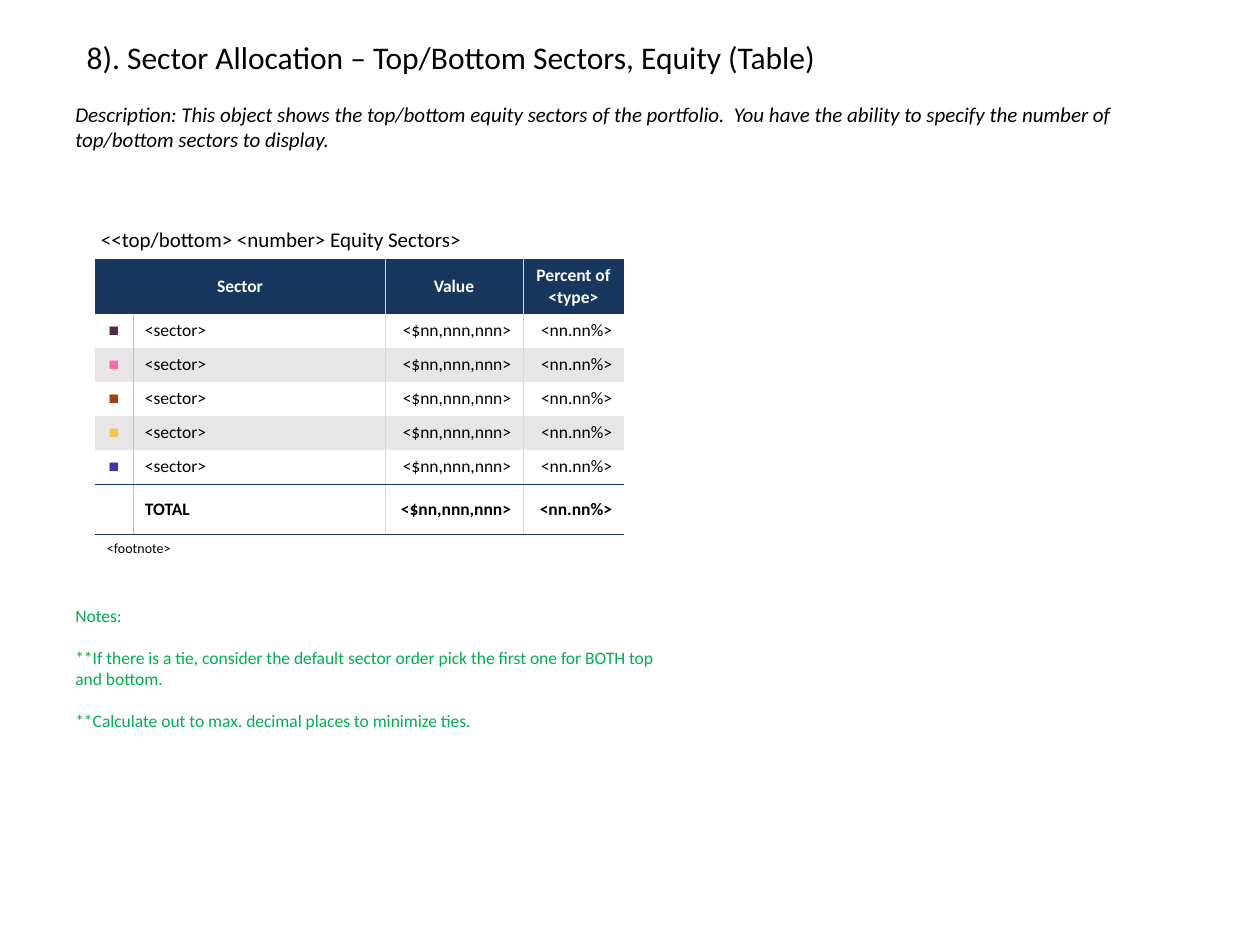
from dataclasses import dataclass
from typing import Optional

from lxml.etree import SubElement
from pptx import Presentation
from pptx.dml.color import RGBColor
from pptx.enum.text import MSO_ANCHOR, MSO_AUTO_SIZE, PP_ALIGN
from pptx.oxml.ns import qn
from pptx.util import Pt

PIXEL = 914400 // 126
COLORS = {
    "black": "000000",
    "white": "FFFFFF",
    "navy": "17375E",
    "band": "E6E6E6",
    "divider": "D9D9D9",
    "marker_divider": "BFBFBF",
    "note": "00B050",
}
SECTOR_COLORS = ["512D44", "F46BAF", "A53F0F", "FCBF49", "4930AD"]
COLUMN_WIDTHS = [38, 252, 138, 101]
ROW_HEIGHTS = [38, 55] + [34] * len(SECTOR_COLORS) + [50, 23]
HEADER_ROW = 1
TOTAL_ROW = HEADER_ROW + len(SECTOR_COLORS) + 1
FOOTNOTE_ROW = TOTAL_ROW + 1
VALUE, PERCENT = "<$nn,nnn,nnn>", "<nn.nn%>"


@dataclass
class TextStyle:
    size: int = 10
    color: str = COLORS["black"]
    bold: bool = False
    italic: bool = False
    font: str = "Calibri"
    align: PP_ALIGN = PP_ALIGN.LEFT


@dataclass
class TextBox:
    left: int
    top: int
    width: int
    height: int
    paragraphs: list[str]
    style: TextStyle
    anchor: MSO_ANCHOR = MSO_ANCHOR.TOP
    wrap: bool = True
    gap: int = 0


@dataclass
class TableCell:
    row: int
    column: int
    text: str
    style: TextStyle
    span: int = 1


def style_paragraph(paragraph, style: TextStyle) -> None:
    paragraph.alignment = style.align
    font = paragraph.font
    font.name, font.size = style.font, Pt(style.size)
    font.bold, font.italic = style.bold, style.italic
    font.color.rgb = RGBColor.from_string(style.color)


def fill_text(shape, box: TextBox) -> None:
    shape.left, shape.top = box.left * PIXEL, box.top * PIXEL
    shape.width, shape.height = box.width * PIXEL, box.height * PIXEL
    frame = shape.text_frame
    frame.text = "\n".join(box.paragraphs)
    frame.word_wrap = box.wrap
    frame.auto_size = MSO_AUTO_SIZE.NONE
    frame.vertical_anchor = box.anchor
    for index, paragraph in enumerate(frame.paragraphs):
        paragraph.space_before = Pt(box.gap if index else 0)
        style_paragraph(paragraph, box.style)


def add_text_box(slide, box: TextBox) -> None:
    fill_text(slide.shapes.add_textbox(0, 0, 0, 0), box)


def vertical_border(row: int, boundary: int) -> Optional[str]:
    if not HEADER_ROW <= row <= TOTAL_ROW or boundary in (0, len(COLUMN_WIDTHS)):
        return None
    if boundary == 1:
        return COLORS["marker_divider"] if row > HEADER_ROW else None
    return COLORS["divider"]


def horizontal_border(boundary: int) -> Optional[str]:
    return COLORS["navy"] if boundary in (TOTAL_ROW, FOOTNOTE_ROW) else None


def set_borders(cell, row: int, column: int) -> None:
    borders = {
        "a:lnL": vertical_border(row, column),
        "a:lnR": vertical_border(row, column + max(cell.span_width, 1)),
        "a:lnT": horizontal_border(row),
        "a:lnB": horizontal_border(row + 1),
    }
    properties = cell._tc.get_or_add_tcPr()
    for index, (tag, color) in enumerate(borders.items()):
        line = SubElement(properties, qn(tag), w=str(Pt(0.25)))
        if color:
            fill = SubElement(line, qn("a:solidFill"))
            SubElement(fill, qn("a:srgbClr"), val=color)
        else:
            SubElement(line, qn("a:noFill"))
        properties.insert(index, line)


def set_background(cell, row: int) -> None:
    if row == 0:
        cell.fill.background()
        return
    cell.fill.solid()
    if row == HEADER_ROW:
        color = COLORS["navy"]
    else:
        banded = row < TOTAL_ROW and row % 2
        color = COLORS["band"] if banded else COLORS["white"]
    cell.fill.fore_color.rgb = RGBColor.from_string(color)


def sector_table_cells() -> list[TableCell]:
    header = TextStyle(color=COLORS["white"], bold=True, align=PP_ALIGN.CENTER)
    cells = [
        TableCell(0, 0, "<<top/bottom> <number> Equity Sectors>", TextStyle(size=12), 4),
        TableCell(HEADER_ROW, 0, "Sector", header, 2),
        TableCell(HEADER_ROW, 2, "Value", header),
        TableCell(HEADER_ROW, 3, "Percent of <type>", header),
        TableCell(FOOTNOTE_ROW, 0, "<footnote>", TextStyle(size=8), 4),
    ]
    for row, color in enumerate(SECTOR_COLORS, HEADER_ROW + 1):
        marker = TextStyle(color=color, font="Arial", align=PP_ALIGN.CENTER)
        cells.append(TableCell(row, 0, "■", marker))
    for row in range(HEADER_ROW + 1, TOTAL_ROW + 1):
        total = row == TOTAL_ROW
        number = TextStyle(bold=total, align=PP_ALIGN.RIGHT)
        label = "TOTAL" if total else "<sector>"
        cells += [
            TableCell(row, 1, label, TextStyle(bold=total)),
            TableCell(row, 2, VALUE, number),
            TableCell(row, 3, PERCENT, number),
        ]
    return cells


def add_sector_table(slide, left: int, top: int) -> None:
    table = slide.shapes.add_table(
        len(ROW_HEIGHTS), len(COLUMN_WIDTHS), left * PIXEL, top * PIXEL,
        sum(COLUMN_WIDTHS) * PIXEL, sum(ROW_HEIGHTS) * PIXEL,
    ).table
    table.first_row = table.horz_banding = False
    for column, width in zip(table.columns, COLUMN_WIDTHS):
        column.width = width * PIXEL
    for row, height in zip(table.rows, ROW_HEIGHTS):
        row.height = height * PIXEL
    for item in sector_table_cells():
        cell = table.cell(item.row, item.column)
        if item.span > 1:
            cell.merge(table.cell(item.row, item.column + item.span - 1))
        cell.text = item.text
        style_paragraph(cell.text_frame.paragraphs[0], item.style)
    for row in range(len(ROW_HEIGHTS)):
        for column in range(len(COLUMN_WIDTHS)):
            cell = table.cell(row, column)
            cell.vertical_anchor = MSO_ANCHOR.MIDDLE if row else MSO_ANCHOR.BOTTOM
            cell.margin_left = (12 if row else 6) * PIXEL
            cell.margin_right = 12 * PIXEL
            cell.margin_top = cell.margin_bottom = 6 * PIXEL
            set_background(cell, row)
            set_borders(cell, row, column)


def main() -> None:
    presentation = Presentation()
    presentation.slide_width, presentation.slide_height = 1260 * PIXEL, 945 * PIXEL
    slide = presentation.slides.add_slide(presentation.slide_layouts[5])
    fill_text(slide.shapes.title, TextBox(
        74, 32, 761, 51,
        ["8). Sector Allocation – Top/Bottom Sectors, Equity (Table)"],
        TextStyle(size=18), wrap=False,
    ))
    add_sector_table(slide, 95, 221)
    add_text_box(slide, TextBox(
        63, 95, 1071, 64,
        ["Description: This object shows the top/bottom equity sectors of the portfolio.  "
         "You have the ability to specify the number of top/bottom sectors to display."],
        TextStyle(size=12, italic=True), anchor=MSO_ANCHOR.MIDDLE,
    ))
    add_text_box(slide, TextBox(
        63, 599, 630, 139,
        ["Notes:",
         "**If there is a tie, consider the default sector order pick the first one "
         "for BOTH top and bottom.",
         "**Calculate out to max. decimal places to minimize ties."],
        TextStyle(color=COLORS["note"]), gap=12,
    ))
    presentation.save("out.pptx")


if __name__ == "__main__":
    main()
